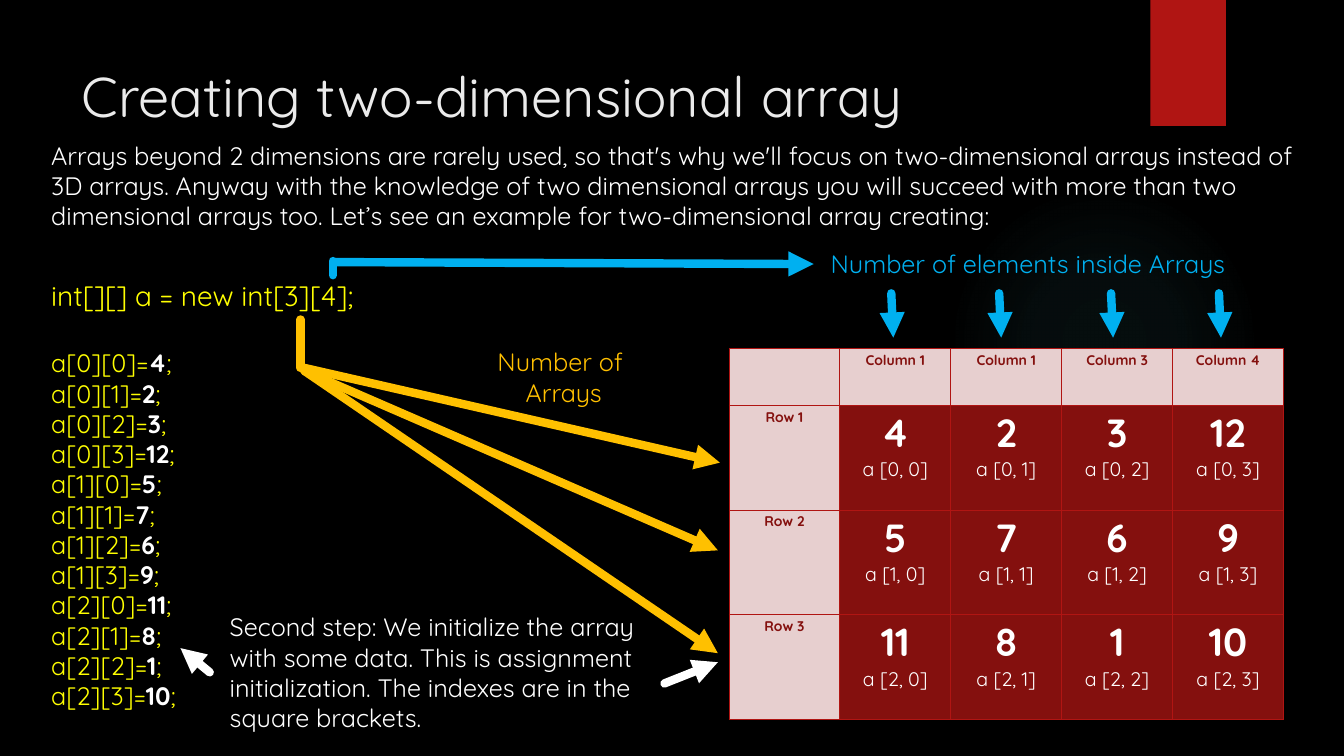
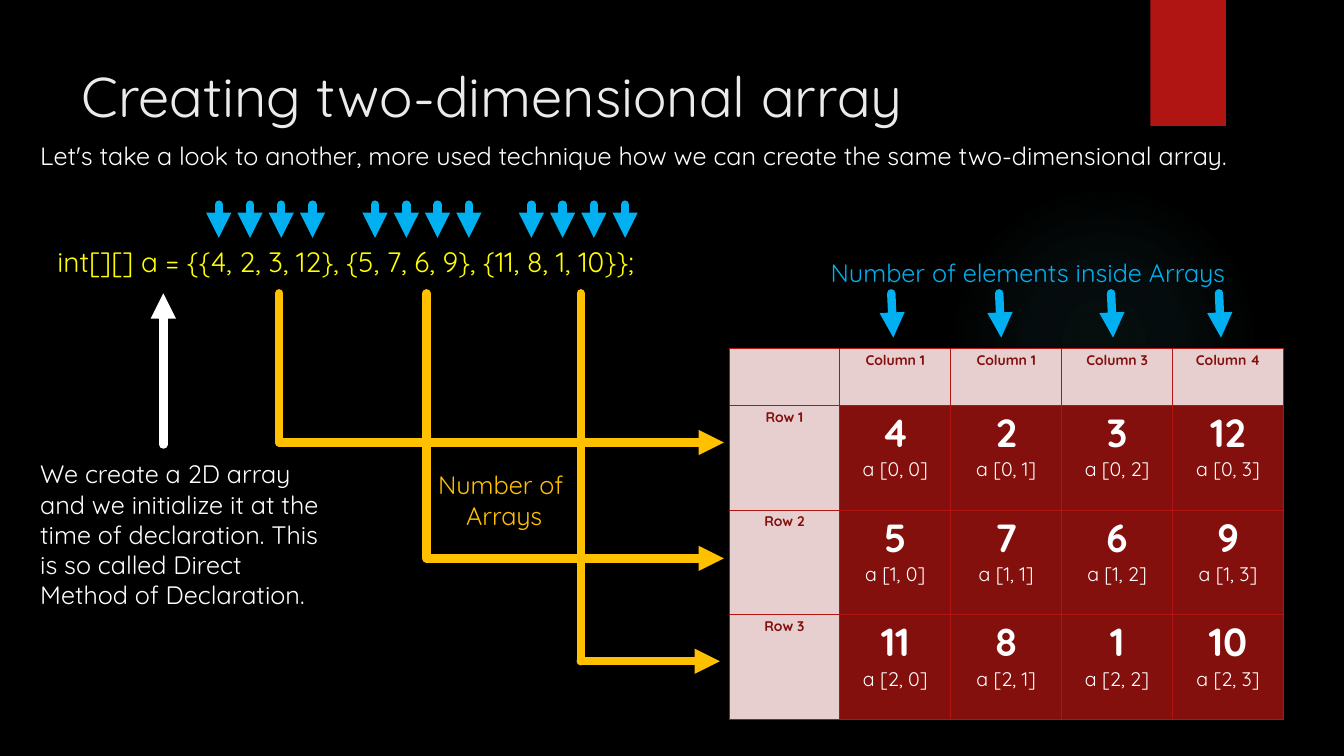
from lxml import etree
from pptx import Presentation, util as u
from pptx.dml.color import RGBColor
from pptx.enum import shapes, text
from pptx.oxml import parse_xml
from pptx.oxml.ns import nsdecls, qn

PX = 9144
FONT = "Quicksand"
BLACK = RGBColor(0x00, 0x00, 0x00)
WHITE = RGBColor(0xFF, 0xFF, 0xFF)
TITLE = RGBColor(0xEB, 0xEB, 0xEB)
RED = RGBColor(0xB0, 0x15, 0x13)
DARK_RED = RGBColor(0x84, 0x10, 0x0E)
PINK = RGBColor(0xE7, 0xCF, 0xCF)
YELLOW = RGBColor(0xFF, 0xFF, 0x00)
ORANGE = RGBColor(0xFF, 0xC0, 0x00)
BLUE = RGBColor(0x00, 0xB0, 0xF0)
TEAL = RGBColor(0x50, 0xB9, 0xC1)

HEADINGS = ["", "Column 1", "Column 1", "Column 3", "Column 4"]
VALUES = [[4, 2, 3, 12], [5, 7, 6, 9], [11, 8, 1, 10]]


def px(*lengths):
    return [u.Emu(n * PX) for n in lengths]


class Deck:
    def __init__(self):
        self.prs = Presentation()
        self.prs.slide_width, self.prs.slide_height = px(1333, 750)
        fill = self.prs.slide_master.background.fill
        fill.solid()
        fill.fore_color.rgb = BLACK

    def slide(self, title):
        self.s = self.prs.slides.add_slide(self.prs.slide_layouts[5])
        self.glow()
        self.shape(shapes.MSO_SHAPE.RECTANGLE, 1141, 0, 75, 125, RED)
        sp = self.s.shapes.title
        sp.left, sp.top, sp.width, sp.height = px(71, 50, 1076, 88)
        sp.text_frame.vertical_anchor = text.MSO_ANCHOR.MIDDLE
        self.fill_text(sp.text_frame, [[(title, {})]], 40, TITLE)

    def shape(self, kind, x, y, w, h, color):
        sp = self.s.shapes.add_shape(kind, *px(x, y, w, h))
        sp.shadow.inherit = False
        sp.fill.solid()
        sp.fill.fore_color.rgb = color
        sp.line.fill.background()
        return sp

    def glow(self):
        sp = self.shape(shapes.MSO_SHAPE.OVAL, 941, 183, 308, 308, TEAL)
        stops = "".join(
            f'<a:gs pos="{pos}000"><a:srgbClr val="{TEAL}"><a:alpha val="{alpha}000"/></a:srgbClr></a:gs>'
            for pos, alpha in [(0, 7), (36, 6), (69, 0)])
        grad = parse_xml(
            f'<a:gradFill {nsdecls("a")}><a:gsLst>{stops}</a:gsLst><a:path path="circle">'
            '<a:fillToRect l="50000" t="50000" r="50000" b="50000"/></a:path></a:gradFill>')
        sppr = sp._element.spPr
        sppr.replace(sppr.find(qn("a:solidFill")), grad)

    def fill_text(self, tf, paragraphs, size, color, align=text.PP_ALIGN.LEFT):
        for i, runs in enumerate(paragraphs):
            p = tf.paragraphs[0] if i == 0 else tf.add_paragraph()
            p.alignment = align
            for words, changes in runs:
                r = p.add_run()
                r.text = words
                look = {"name": FONT, "size": size, "color": color, "bold": False, **changes}
                r.font.color.rgb = look.pop("color")
                look["size"] = u.Pt(look["size"])
                for key, value in look.items():
                    setattr(r.font, key, value)

    def text(self, x, y, w, h, paragraphs, color=WHITE, size=18, align=text.PP_ALIGN.LEFT):
        if isinstance(paragraphs, str):
            paragraphs = [[(line, {})] for line in paragraphs.split("\n")]
        tf = self.s.shapes.add_textbox(*px(x, y, w, h)).text_frame
        tf.word_wrap = True
        tf.auto_size = text.MSO_AUTO_SIZE.SHAPE_TO_FIT_TEXT
        self.fill_text(tf, paragraphs, size, color, align)

    def line(self, x1, y1, x2, y2, color, arrow=True):
        c = self.s.shapes.add_connector(shapes.MSO_CONNECTOR.STRAIGHT, *px(x1, y1, x2, y2))
        c.line.color.rgb = color
        c.line.width = u.Pt(6)
        ln = c.line._get_or_add_ln()
        ln.set("cap", "rnd")
        etree.SubElement(ln, qn("a:round"))
        if arrow:
            etree.SubElement(ln, qn("a:tailEnd"), type="triangle")
        etree.SubElement(c._element.spPr, qn("a:effectLst"))

    def cell(self, cell, paragraphs, color, fill):
        margins = {"margin_left": 7, "margin_right": 7, "margin_top": 3, "margin_bottom": 3}
        for key, value in margins.items():
            setattr(cell, key, u.Emu(value * PX))
        tcpr = cell._tc.get_or_add_tcPr()
        for side in "LRTB":
            tcpr.append(parse_xml(
                f'<a:ln{side} {nsdecls("a")} w="9525"><a:solidFill>'
                f'<a:srgbClr val="{RED}"/></a:solidFill></a:ln{side}>'))
        cell.fill.solid()
        cell.fill.fore_color.rgb = fill
        self.fill_text(cell.text_frame, paragraphs, 10, color, text.PP_ALIGN.CENTER)

    def array_table(self):
        table = self.s.shapes.add_table(4, 5, *px(723, 346, 550, 368)).table
        table.first_row = table.horz_banding = False
        for col in table.columns:
            col.width = u.Emu(110 * PX)
        for row, height in zip(table.rows, px(56, 104, 104, 104)):
            row.height = height
        labels = [(0, j, h) for j, h in enumerate(HEADINGS)]
        labels += [(i, 0, f"Row {i}") for i in range(1, 4)]
        for i, j, label in labels:
            runs = [(label, {"bold": True})] if label else []
            self.cell(table.cell(i, j), [runs], DARK_RED, PINK)
        for i, row in enumerate(VALUES):
            for j, value in enumerate(row):
                lines = [[(str(value), {"size": 28, "bold": True})],
                         [(f"a [{i}, {j}]", {"size": 14})]]
                self.cell(table.cell(i + 1, j + 1), lines, WHITE, DARK_RED)

    def array_diagram(self, elements_y, arrays_x, arrays_y):
        self.array_table()
        self.text(814, elements_y, 433, 40, "Number of elements inside Arrays", BLUE)
        self.text(arrays_x, arrays_y, 152, 71, "Number of \nArrays", ORANGE,
                  align=text.PP_ALIGN.CENTER)
        for x in (884, 991, 1102, 1209):
            self.line(x, 291, x + 2, 335, BLUE)


def step_by_step(d):
    d.slide("Creating two-dimensional array")
    d.text(41, 134, 1264, 101,
           "Arrays beyond 2 dimensions are rarely used, so that's why we'll focus on "
           "two-dimensional arrays instead of 3D arrays. Anyway with the knowledge of two "
           "dimensional arrays you will succeed with more than two dimensional arrays too. "
           "Let’s see an example for two-dimensional array creating:")
    d.text(41, 271, 328, 44, "int[][] a = new int[3][4];", YELLOW, 20)
    d.array_diagram(241, 483, 339)
    for y1, x2, y2 in [(368, 712, 546), (368, 712, 648), (365, 714, 459)]:
        d.line(302, y1, x2, y2, ORANGE)
    d.line(298, 365, 298, 317, ORANGE, arrow=False)
    d.line(331, 260, 807, 262, BLUE)
    d.line(330, 259, 330, 273, BLUE, arrow=False)
    d.text(218, 602, 449, 131,
           "Second step: We initialize the array with some data. This is assignment "
           "initialization. The indexes are in the square brackets.")
    assignments = [[(f"a[{i}][{j}]=", {}), (str(v), {"color": WHITE, "bold": True}), (";", {})]
                   for i, row in enumerate(VALUES) for j, v in enumerate(row)]
    d.text(41, 340, 198, 374, assignments, YELLOW)
    d.line(208, 667, 179, 643, WHITE)
    d.line(659, 678, 712, 657, WHITE)


def direct_method(d):
    d.slide("Creating two-dimensional array")
    d.text(30, 134, 1276, 40,
           "Let's take a look to another, more used technique how we can create the same "
           "two-dimensional array.")
    d.array_diagram(250, 424, 461)
    d.text(30, 450, 309, 162,
           "We create a 2D array and we initialize it at the time of declaration. "
           "This is so called Direct Method of Declaration.")
    d.line(162, 441, 162, 291, WHITE)
    d.text(47, 238, 688, 44, "int[][] a = {{4, 2, 3, 12}, {5, 7, 6, 9}, {11, 8, 1, 10}};",
           YELLOW, 20)
    for group in range(3):
        for item in range(4):
            x = 217 + 155 * group + 31 * item
            d.line(x, 203, x, 236, BLUE)
    for x, y, tip in [(277, 439, 718), (423, 554, 718), (576, 656, 714)]:
        d.line(x, y, x, 291, ORANGE, arrow=False)
        d.line(x, y, tip, y, ORANGE)


def main():
    d = Deck()
    step_by_step(d)
    direct_method(d)
    d.prs.save("out.pptx")


if __name__ == "__main__":
    main()
